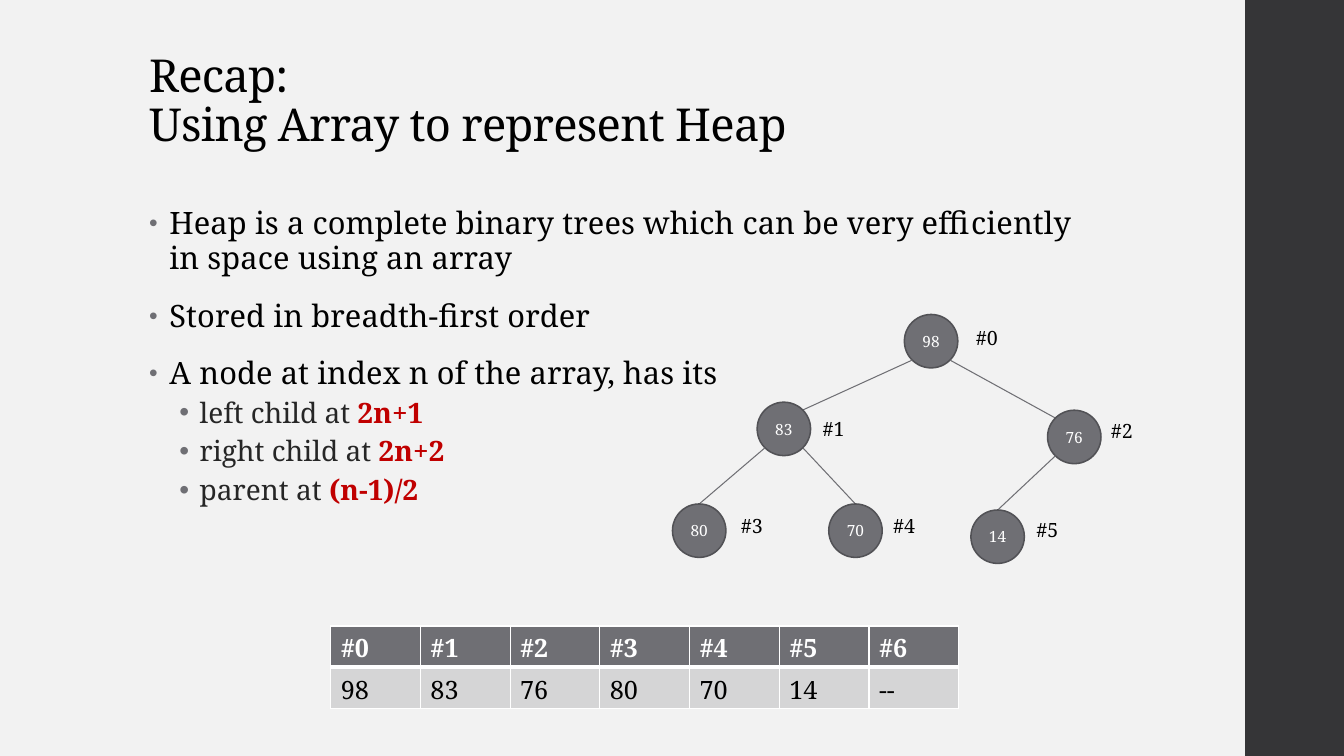
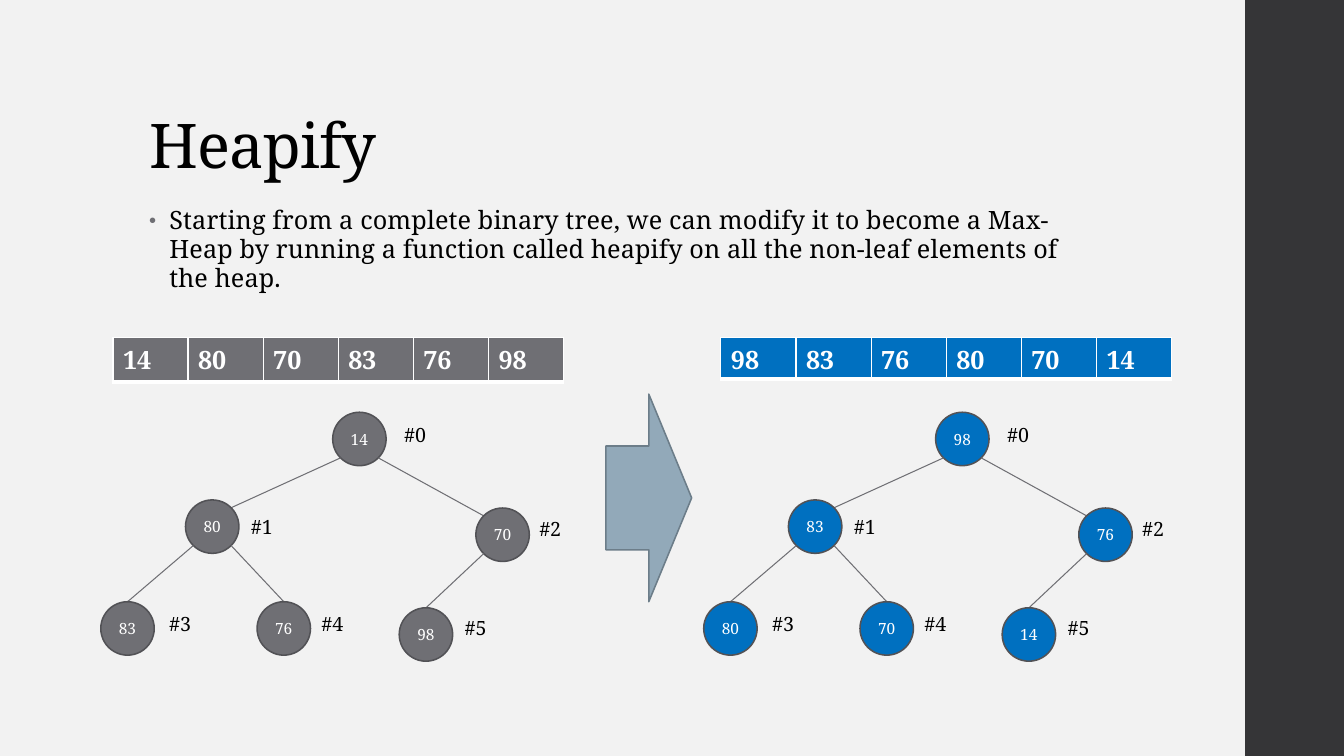
from lxml.etree import SubElement
from pptx import Presentation
from pptx.dml.color import RGBColor
from pptx.enum.shapes import MSO_CONNECTOR as LINE, MSO_SHAPE as SHAPE
from pptx.enum.text import MSO_ANCHOR as ANCHOR, MSO_AUTO_SIZE as AUTO, PP_ALIGN as ALIGN
from pptx.oxml.ns import qn
from pptx.util import Inches, Pt

# Content
RECAP_TITLE = "Recap:\nUsing Array to represent Heap"
RECAP_POINTS = [  # level, plain text, highlighted text
    (0, "Heap is a complete binary trees which can be very efficiently in space using an array", ""),
    (0, "Stored in breadth-first order", ""),
    (0, "A node at index n of the array, has its", ""),
    (1, "left child at ", "2n+1"),
    (1, "right child at ", "2n+2"),
    (1, "parent at ", "(n-1)/2"),
]
HEAPIFY_TITLE = "Heapify"
HEAPIFY_POINTS = [
    (0, "Starting from a complete binary tree, we can modify it to become a Max-Heap by running "
        "a function called heapify on all the non-leaf elements of the heap.", ""),
]
UNORDERED = [14, 80, 70, 83, 76, 98]
MAX_HEAP = [98, 83, 76, 80, 70, 14]

# Look
FONT = "Noto Serif"
COLORS = {
    "paper": "F2F2F2", "band": "353537", "ink": "000000", "soft": "262626", "white": "FFFFFF",
    "accent": "C00000", "gray": "6F6F74", "rim": "525256", "pale": "D5D5D6", "blue": "0070C0",
    "arrow": "92A9B9", "arrow_rim": "6C7D89",
}
WIDTH, HEIGHT = 13.33, 7.5
MARGIN = 1.38
LEVELS = [  # one style for each bullet level
    dict(indent=0.2, line=0.95, before=14, after=2, bullet_size=80, color="ink", spacing=0.1),
    dict(indent=0.5, line=0.9, before=3, after=3, bullet_size=100, color="soft", spacing=0),
]
HANG = 0.2

# Tree: node corners from the tree's origin, and label corners from the node
NODE = 0.53
NODES = [(2.3, 0), (0.84, 0.87), (3.72, 0.95), (0, 1.88), (1.55, 1.88), (2.96, 1.94)]
LABELS = [(0.61, 0.06), (0.55, 0.1), (0.53, 0.04), (0.58, 0.05), (0.54, 0.05), (0.55, 0.03)]
LABEL_SIZE = (0.42, 0.34)
DIAGONAL = 0.146  # share of a circle's box outside its 45-degree points


def rgb(name):
    """Return a named colour."""
    return RGBColor.from_string(COLORS[name])


def box(*lengths):
    """Turn inches into lengths."""
    return [Inches(length) for length in lengths]


def place(shape, left, top, width, height):
    """Move and size a shape."""
    shape.left, shape.top, shape.width, shape.height = box(left, top, width, height)


def write(paragraph, text, size=18, color="ink", bold=False, spacing=0, align=None, line=None):
    """Add formatted text to a paragraph, with a line break at each newline."""
    for number, part in enumerate(text.split("\n")):
        if number:
            paragraph.add_line_break()
        run = paragraph.add_run()
        run.text = part
        font = run.font
        font.name, font.size, font.bold = FONT, Pt(size), bold
        font.color.rgb = rgb(color)
        run._r.get_or_add_rPr().set("spc", str(round(spacing * 100)))
    if align is not None:
        paragraph.alignment = align
    if line:
        paragraph.line_spacing = line


def paint(shape, fill, rim=None):
    """Give a shape a flat fill and an optional outline."""
    shape.shadow.inherit = False
    shape.fill.solid()
    shape.fill.fore_color.rgb = rgb(fill)
    if rim:
        shape.line.color.rgb = rgb(rim)
        shape.line.width = Pt(1.1)
    else:
        shape.line.fill.background()


def add_bullet(paragraph, indent, size):
    """Set a hanging gray bullet."""
    props = paragraph._p.get_or_add_pPr()
    props.set("marL", str(Inches(indent)))
    props.set("indent", str(-Inches(HANG)))
    SubElement(SubElement(props, qn("a:buClr")), qn("a:srgbClr"), val=COLORS["gray"])
    SubElement(props, qn("a:buSzPct"), val=str(size * 1000))
    SubElement(props, qn("a:buFont"), typeface="Arial")
    SubElement(props, qn("a:buChar"), char="•")


def set_master(deck):
    """Put the background and the side band on the master."""
    master = deck.slide_master
    master.background.fill.solid()
    master.background.fill.fore_color.rgb = rgb("paper")
    return master


def add_band(slide, master):
    """Draw the side band and hand it to the master, behind its placeholders."""
    band = slide.shapes.add_shape(SHAPE.RECTANGLE, *box(12.35, 0, 1, HEIGHT))
    paint(band, "band")
    master.shapes._spTree.insert(2, band._element)


def add_page(deck, title, points, title_size, title_height, body_size, body_height):
    """Add a slide with its title and bullet list."""
    slide = deck.slides.add_slide(deck.slide_layouts[1])
    heading, body = slide.shapes.title, slide.placeholders[1]
    place(heading, MARGIN, 0.4, 10.6, title_height)
    place(body, MARGIN, 2, 9.4, body_height)
    for holder, anchor in ((heading, ANCHOR.BOTTOM), (body, ANCHOR.TOP)):
        holder.text_frame.auto_size = AUTO.NONE
        holder.text_frame.vertical_anchor = anchor
    write(heading.text_frame.paragraphs[0], title, size=title_size, spacing=-0.5,
          align=ALIGN.LEFT, line=0.9)
    frame = body.text_frame
    for number, (level, plain, strong) in enumerate(points):
        item = frame.add_paragraph() if number else frame.paragraphs[0]
        look = LEVELS[level]
        item.level = level
        item.space_before, item.space_after = Pt(look["before"]), Pt(look["after"])
        size = body_size - 2 * level
        write(item, plain, size=size, color=look["color"], spacing=look["spacing"], line=look["line"])
        if strong:
            write(item, strong, size=size, color="accent", bold=True)
        add_bullet(item, look["indent"], look["bullet_size"])
    return slide


def add_edge(shapes, start, end):
    """Draw a thin line between two points."""
    edge = shapes.add_connector(LINE.STRAIGHT, *box(*start, *end))
    edge.line.color.rgb = rgb("gray")
    edge.line.width = Pt(0.75)
    SubElement(edge._element.spPr, qn("a:effectLst"))


def add_tree(slide, left, top, values, fill):
    """Draw a heap as circles, index labels and edges."""
    shapes = slide.shapes.add_group_shape().shapes
    near, far = NODE * DIAGONAL, NODE * (1 - DIAGONAL)
    corners = [(left + x, top + y) for x, y in NODES]
    for index, (value, (x, y)) in enumerate(zip(values, corners)):
        if index:
            parent_x, parent_y = corners[(index - 1) // 2]
            is_left = index % 2 == 1
            start = (parent_x + (near if is_left else far), parent_y + far)
            if index < 3:
                end = (x + (far if is_left else near), y + near)
            else:
                end = (x + NODE / 2, y)
            add_edge(shapes, start, end)
        node = shapes.add_shape(SHAPE.OVAL, *box(x, y, NODE, NODE))
        paint(node, fill, "rim")
        node.text_frame.word_wrap = False
        node.text_frame.vertical_anchor = ANCHOR.MIDDLE
        write(node.text_frame.paragraphs[0], str(value), size=11, color="white", align=ALIGN.CENTER)
        dx, dy = LABELS[index]
        label = shapes.add_textbox(*box(x + dx, y + dy, *LABEL_SIZE)).text_frame
        label.word_wrap = False
        label.auto_size = AUTO.SHAPE_TO_FIT_TEXT
        write(label.paragraphs[0], f"#{index}", size=14)


def add_array(slide, left, top, column, rows, fill, foot=0.05):
    """Draw an array as a table whose first row is bold on a dark fill."""
    row_height = 0.41
    count = len(rows[0])
    table = slide.shapes.add_table(
        len(rows), count, *box(left, top, column * count, row_height * len(rows))).table
    for r, row in enumerate(rows):
        is_head = r == 0
        for c, value in enumerate(row):
            cell = table.cell(r, c)
            cell.margin_bottom = Inches(foot)
            for side in "LRTB":
                width = 3 if is_head and side == "B" else 1
                border = SubElement(cell._tc.get_or_add_tcPr(), qn(f"a:ln{side}"), w=str(Pt(width)))
                SubElement(SubElement(border, qn("a:solidFill")), qn("a:srgbClr"), val=COLORS["white"])
            cell.fill.solid()
            cell.fill.fore_color.rgb = rgb(fill if is_head else "pale")
            write(cell.text_frame.paragraphs[0], str(value),
                  color="white" if is_head else "ink", bold=is_head)


deck = Presentation()
deck.slide_width, deck.slide_height = box(WIDTH, HEIGHT)
master = set_master(deck)

recap = add_page(deck, RECAP_TITLE, RECAP_POINTS, title_size=32.4, title_height=1.15,
                 body_size=22, body_height=4.76)
add_band(recap, master)
add_tree(recap, 6.67, 3.12, MAX_HEAP, "gray")
indices = [f"#{index}" for index in range(len(MAX_HEAP) + 1)]
add_array(recap, 3.28, 6.21, 0.89, [indices, MAX_HEAP + ["--"]], "gray")

heapify = add_page(deck, HEAPIFY_TITLE, HEAPIFY_POINTS, title_size=44, title_height=1.45,
                   body_size=18, body_height=1.1)
for array_left, tree_left, values, fill, foot in (
        (1.12, 1, UNORDERED, "gray", 0.05), (7.15, 6.98, MAX_HEAP, "blue", 0.02)):
    add_array(heapify, array_left, 3.35, 0.745, [values], fill, foot)
    add_tree(heapify, tree_left, 4.09, values, fill)
becomes = heapify.shapes.add_shape(SHAPE.RIGHT_ARROW, *box(6.01, 3.91, 0.85, 2.06))
paint(becomes, "arrow", "arrow_rim")

deck.save("out.pptx")
